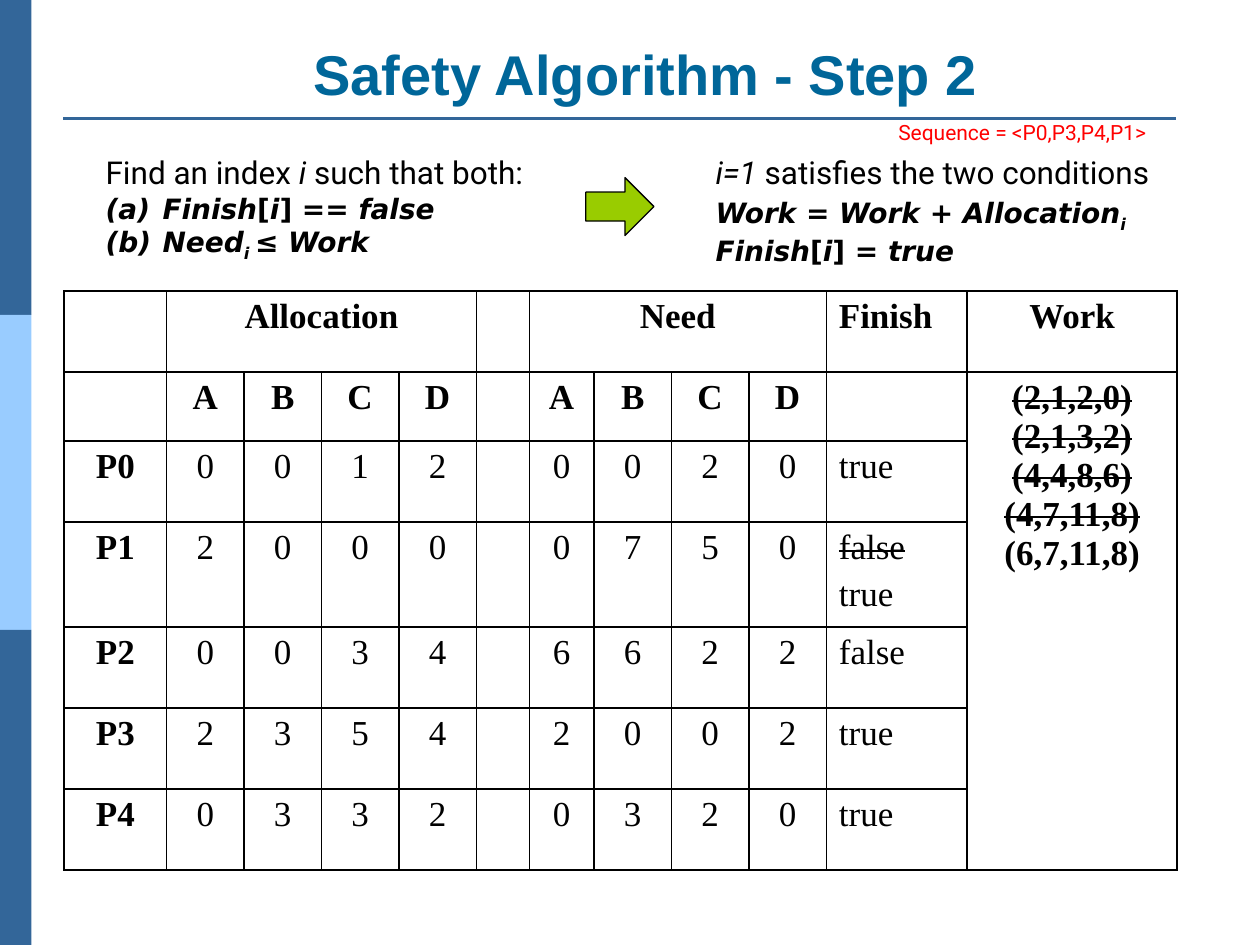
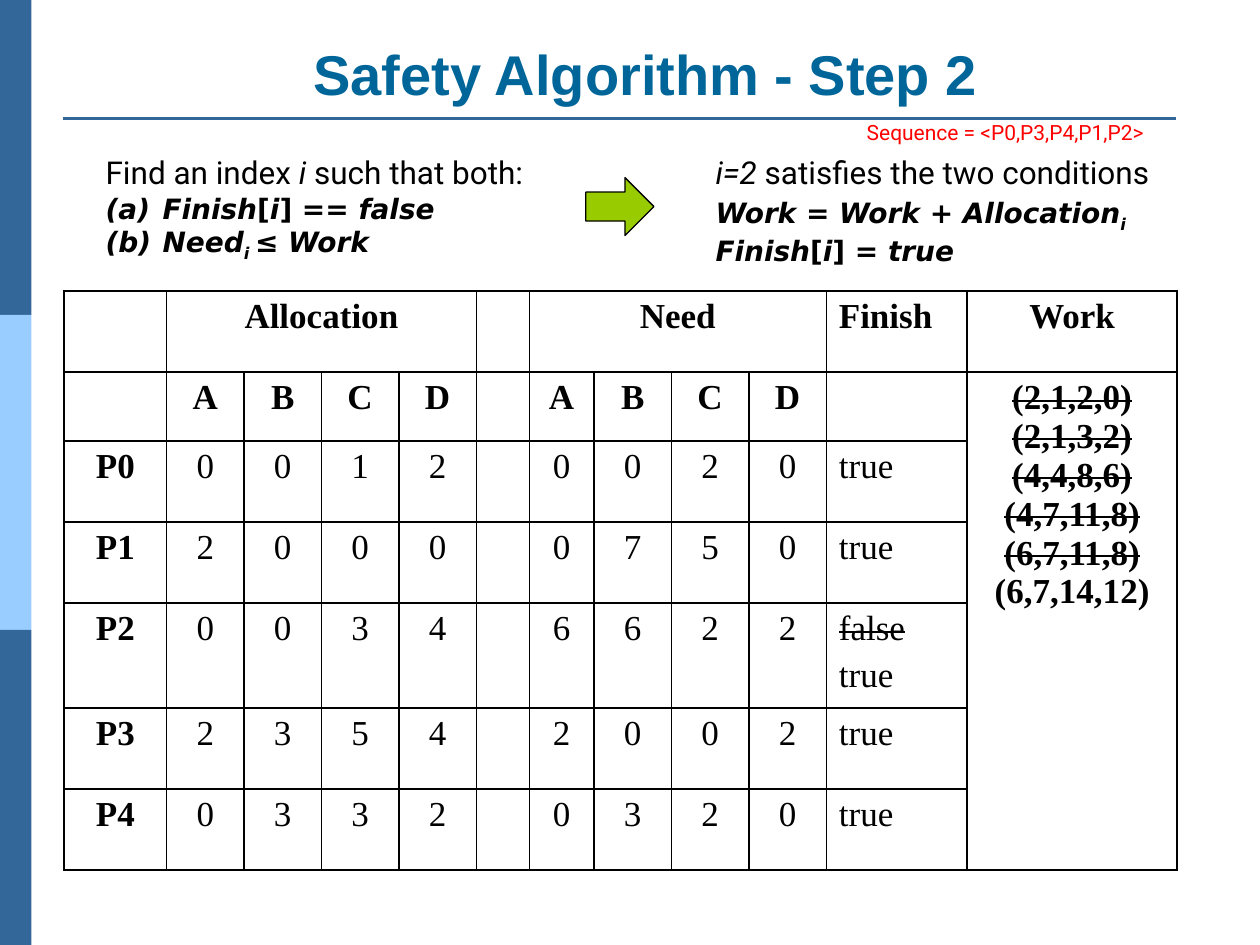
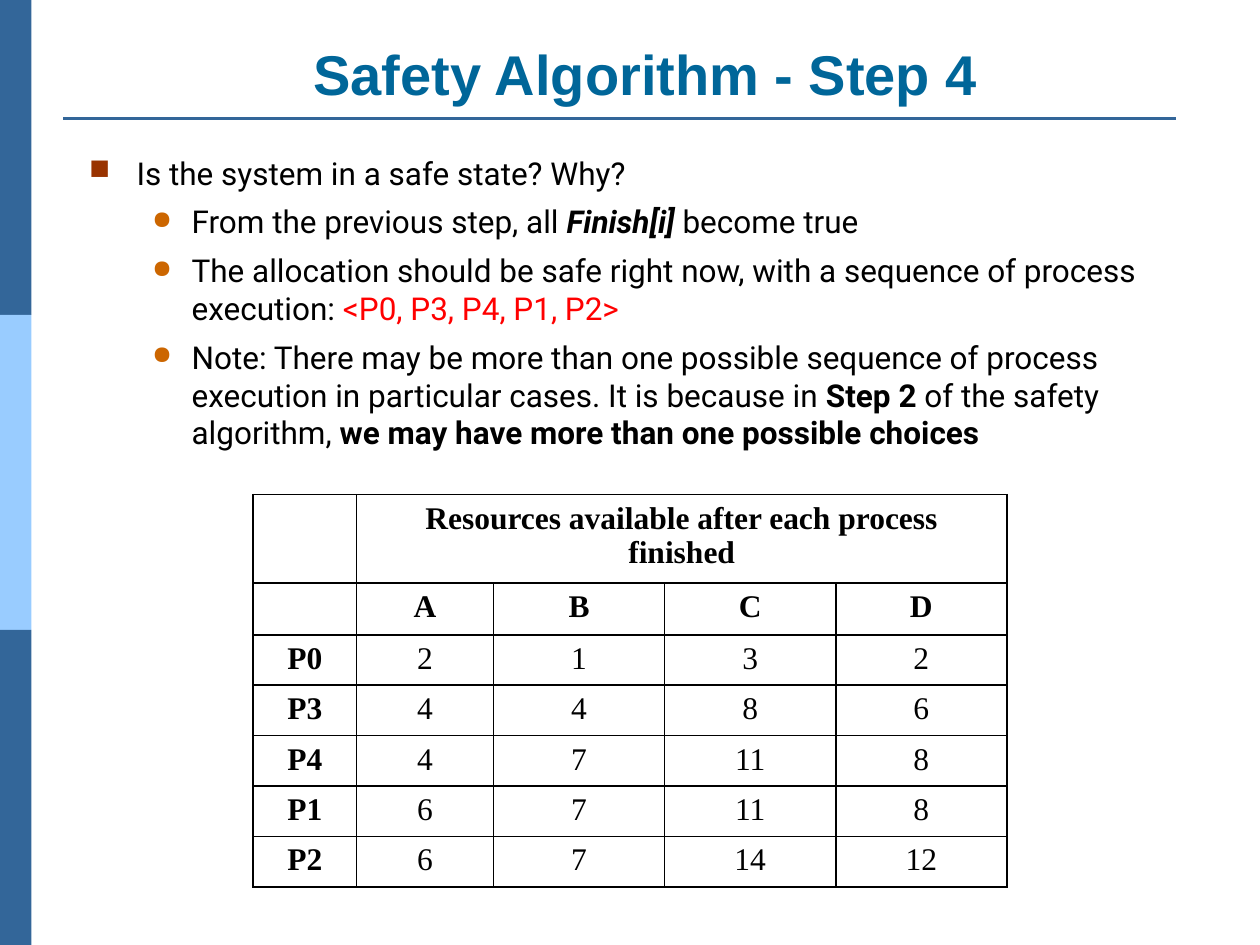
"""Build the three slides on the safety algorithm, with their resource tables."""
import itertools

import lxml.etree
import pptx
import pptx.dml.color
import pptx.enum.shapes
import pptx.enum.text
import pptx.oxml.ns
import pptx.util

COLOURS = {
    "band": "336699", "band_light": "99CCFF", "title": "006699",
    "ink": "000000", "accent": "FF0000", "arrow": "99CC00",
    "square": "993300", "dot": "CC6600",
}
Pt = pptx.util.Pt
qn = pptx.oxml.ns.qn
CENTER = pptx.enum.text.PP_ALIGN.CENTER
BOTTOM = pptx.enum.text.MSO_ANCHOR.BOTTOM
SHAPES = pptx.enum.shapes.MSO_SHAPE

TITLE = {"name": "Arial", "size": 32, "bold": True, "colour": "title"}
BODY = {"name": "Roboto", "size": 18}
NOTE = {"name": "Roboto", "size": 12, "colour": "accent"}
MATH = {"name": "DejaVu Sans", "size": 16, "bold": True}
CELL = {"name": "Times New Roman", "size": 20}
SMALL_CELL = {**CELL, "size": 18}
BOLD = {"bold": True}
ITALIC = {"italic": True}
INDEX = {"italic": True, "baseline": "-25000"}
STRUCK = {"strike": "sngStrike"}

LETTERS = list("ABCD")
START = (2, 1, 2, 0)
ORDER = ["P0", "P3", "P4", "P1", "P2"]
ALLOCATION = {
    "P0": (0, 0, 1, 2), "P1": (2, 0, 0, 0), "P2": (0, 0, 3, 4),
    "P3": (2, 3, 5, 4), "P4": (0, 3, 3, 2),
}
NEED = {
    "P0": (0, 0, 2, 0), "P1": (0, 7, 5, 0), "P2": (6, 6, 2, 2),
    "P3": (2, 0, 0, 2), "P4": (0, 3, 2, 0),
}
AUTO_NUMBER = [("buFont", {"typeface": "+mj-lt"}),
               ("buAutoNum", {"type": "alphaLcParenBoth"})]


def rgb(name):
    """Return the named colour."""
    return pptx.dml.color.RGBColor.from_string(COLOURS[name])


def work_after(order):
    """Return the available resources at the start and after each process."""
    steps = [START] + [ALLOCATION[process] for process in order]
    return list(itertools.accumulate(
        steps, lambda work, freed: tuple(map(sum, zip(work, freed)))))


def add_span(para, text, style):
    """Add one run of text and apply its format values."""
    span = para.add_run()
    span.text = text
    span.font.color.rgb = rgb(style.get("colour", "ink"))
    for key, value in style.items():
        if key in ("baseline", "strike"):
            span.font._element.set(key, value)
        elif key != "colour":
            setattr(span.font, key, Pt(value) if key == "size" else value)


def glyph(symbol, colour, percent):
    """Return the parts of a coloured character bullet."""
    return [("buClr", {"colour": colour}),
            ("buSzPct", {"val": str(percent * 1000)}),
            ("buChar", {"char": symbol})]


def set_bullet(para, parts, left, hang):
    """Give a paragraph a bullet and a hanging indent."""
    props = para._p.get_or_add_pPr()
    props.set("marL", str(Pt(left)))
    props.set("indent", str(-Pt(hang)))
    for tag, values in parts:
        if "colour" in values:
            holder = lxml.etree.SubElement(props, qn("a:" + tag))
            lxml.etree.SubElement(holder, qn("a:srgbClr"), val=COLOURS[values["colour"]])
        else:
            lxml.etree.SubElement(props, qn("a:" + tag), values)


def write(frame, paras, base, **formats):
    """Fill a text frame; a paragraph is (spans, bullet, own base style)."""
    gap = formats.pop("gap", 0)
    for number, (spans, bullet, own) in enumerate(paras):
        para = frame.add_paragraph() if number else frame.paragraphs[0]
        if number and gap:
            para.space_before = Pt(gap)
        for key, value in formats.items():
            setattr(para, key, value)
        if bullet:
            set_bullet(para, *bullet)
        for span in spans:
            text, style = (span, {}) if isinstance(span, str) else span
            if text == "\n":
                para.add_line_break()
            else:
                add_span(para, text, {**base, **own, **style})


def line(*spans, bullet=None, **own):
    """Describe one paragraph."""
    return spans, bullet, own


def add_text(page, place, paras, base, anchor=None, **formats):
    """Add a wrapping text box."""
    box = page.shapes.add_textbox(*map(Pt, place))
    box.text_frame.word_wrap = True
    box.text_frame.vertical_anchor = anchor
    write(box.text_frame, paras, base, **formats)


def add_block(page, kind, place, fill, outline=None):
    """Add a filled preset shape."""
    block = page.shapes.add_shape(kind, *map(Pt, place))
    block.shadow.inherit = False
    block.fill.solid()
    block.fill.fore_color.rgb = rgb(fill)
    if outline:
        block.line.color.rgb = rgb(outline)
        block.line.width = Pt(0.75)
    else:
        block.line.fill.background()


def add_page(deck, title):
    """Add a page with the side bands, the rule and the title."""
    page = deck.slides.add_slide(deck.slide_layouts[6])
    for number, fill in enumerate(("band", "band_light", "band")):
        add_block(page, SHAPES.RECTANGLE, (0, 180 * number, 18, 180), fill)
    rule = page.shapes.add_connector(
        pptx.enum.shapes.MSO_CONNECTOR.STRAIGHT, Pt(36), Pt(67.7), Pt(672), Pt(67.7))
    rule.line.color.rgb = rgb("band")
    rule.line.width = Pt(1.5)
    lxml.etree.SubElement(rule._element.spPr, qn("a:effectLst"))
    add_text(page, (36.7, 12.2, 664.6, 52.6), [line(title)], TITLE,
             anchor=BOTTOM, alignment=CENTER)
    return page


def frame_cell(cell):
    """Give a cell thin black borders and no fill."""
    props = cell._tc.get_or_add_tcPr()
    for side in "LRTB":
        border = lxml.etree.SubElement(props, qn("a:ln" + side), w=str(Pt(1)))
        fill = lxml.etree.SubElement(border, qn("a:solidFill"))
        lxml.etree.SubElement(fill, qn("a:srgbClr"), val=COLOURS["ink"])
    cell.fill.background()


def add_grid(page, left, top, widths, heights):
    """Add an empty table with plain borders."""
    table = page.shapes.add_table(
        len(heights), len(widths), Pt(left), Pt(top),
        Pt(sum(widths)), Pt(sum(heights))).table
    table.first_row = table.horz_banding = False
    for column, width in zip(table.columns, widths):
        column.width = Pt(width)
    for row, height in zip(table.rows, heights):
        row.height = Pt(height)
    for cell in table.iter_cells():
        frame_cell(cell)
    return table


def fill_row(table, row, values, base, heading=False):
    """Write centred values in a row, with the first column in bold."""
    for column, value in enumerate(values):
        if value != "":
            bold = heading or column == 0
            write(table.cell(row, column).text_frame, [line(str(value), bold=bold)],
                  base, alignment=CENTER)


def add_state_table(page, done):
    """Add the allocation, need, finish and work table."""
    current = done[-1]
    heights = [46.3, 39.5] + [59.5 if name == current else 46.3 for name in ALLOCATION]
    widths = [58.5] + [44.25] * 4 + [30.25, 37] + [44.25] * 3 + [80.5, 120]
    table = add_grid(page, 36.7, 166.3, widths, heights)
    for first_row, first, last_row, last in ((0, 1, 0, 4), (0, 6, 0, 9), (1, 11, 6, 11)):
        table.cell(first_row, first).merge(table.cell(last_row, last))
    fill_row(table, 0, ["", "Allocation", "", "", "", "", "Need", "", "", "", "", "Work"],
             CELL, heading=True)
    write(table.cell(0, 10).text_frame, [line("Finish", **BOLD)], CELL)
    fill_row(table, 1, ["", *LETTERS, "", *LETTERS], CELL, heading=True)
    for row, name in enumerate(ALLOCATION, 2):
        fill_row(table, row, [name, *ALLOCATION[name], "", *NEED[name]], CELL)
        finish = [line("true" if name in done else "false")]
        if name == current:
            finish.insert(0, line("false", **STRUCK))
        write(table.cell(row, 10).text_frame, finish, CELL, gap=4.6)
    *past, latest = ["({},{},{},{})".format(*work) for work in work_after(done)]
    history = [line(text, **STRUCK) for text in past] + [line(latest)]
    write(table.cell(1, 11).text_frame, history, {**CELL, **BOLD}, alignment=CENTER)


def add_step_page(deck, count, note_left):
    """Add the page that shows the state once count processes are finished."""
    done = ORDER[:count]
    page = add_page(deck, "Safety Algorithm - Step 2")
    add_text(page, (note_left, 64.8, 672.5 - note_left, 21.6),
             [line(f"Sequence = <{','.join(done)}>")], NOTE)
    add_state_table(page, done)
    numbered = (AUTO_NUMBER, 27, 27)
    add_text(page, (53.3, 84.2, 360, 67.7), [
        line("Find an index ", ("i ", ITALIC), "such that both:"),
        line((" Finish", ITALIC), "[", ("i", ITALIC), "] == ", ("false", ITALIC),
             bullet=numbered, **MATH),
        line((" Need", ITALIC), ("i ", INDEX), "≤ ", ("Work", ITALIC),
             bullet=numbered, **MATH),
    ], BODY)
    add_block(page, SHAPES.RIGHT_ARROW, (334.8, 101.5, 38.9, 33.1), "arrow", "ink")
    add_text(page, (401.8, 84.2, 281.5, 28.8), [
        line((f"i={done[-1][1:]}", ITALIC), " satisfies the two conditions")], BODY)
    add_text(page, (401.8, 108, 270, 46), [
        line(("Work", ITALIC), " = ", ("Work", ITALIC), " + ", ("Allocation", ITALIC),
             ("i", INDEX), "\n", ("Finish", ITALIC), "[", ("i", ITALIC), "] = ",
             ("true", ITALIC))], MATH)


def add_result_page(deck):
    """Add the page with the conclusion and the resources after each process."""
    page = add_page(deck, "Safety Algorithm - Step 4")
    square = (glyph("■", "square", 90), 27, 27)
    dot = (glyph("●", "dot", 80), 58.5, 22.5)
    add_text(page, (43.9, 84.2, 622.8, 179.3), [
        line("Is the system in a safe state? Why?", bullet=square),
        line("From the previous step, all ", ("Finish[i]", {**BOLD, **ITALIC}),
             " become true", bullet=dot),
        line("The allocation should be safe right now, with a sequence of process execution: ",
             (f"<{', '.join(ORDER)}>", {"colour": "accent"}), bullet=dot),
        line("Note: There may be more than one possible sequence of process execution in "
             "particular cases. It is because in ", ("Step 2", BOLD),
             " of the safety algorithm, ",
             ("we may have more than one possible choices", BOLD), bullet=dot),
    ], BODY, gap=6.3)
    table = add_grid(page, 144.7, 282.6, [59, 78.3] + [97.8] * 3, [47.4, 29.7] + [27.4] * 5)
    table.cell(0, 1).merge(table.cell(0, 4))
    fill_row(table, 0, ["", "Resources available after each process finished"],
             SMALL_CELL, heading=True)
    fill_row(table, 1, ["", *LETTERS], SMALL_CELL, heading=True)
    for row, (name, work) in enumerate(zip(ORDER, work_after(ORDER)[1:]), 2):
        fill_row(table, row, [name, *work], SMALL_CELL)


def main():
    """Build the deck and save it."""
    deck = pptx.Presentation()
    deck.slide_width, deck.slide_height = Pt(720), Pt(540)
    add_step_page(deck, 4, 506.2)
    add_step_page(deck, 5, 488.2)
    add_result_page(deck)
    deck.save("out.pptx")


if __name__ == "__main__":
    main()
